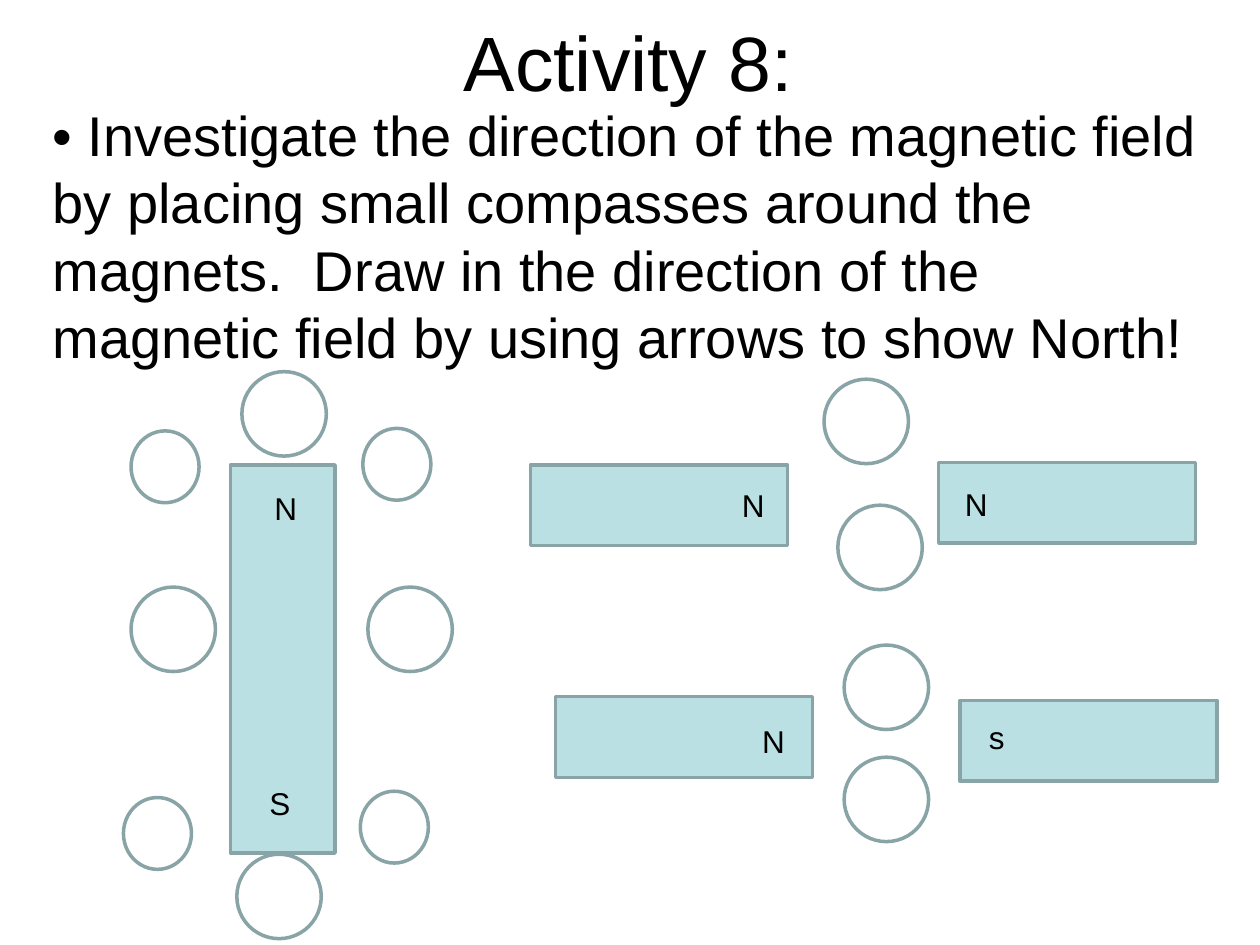
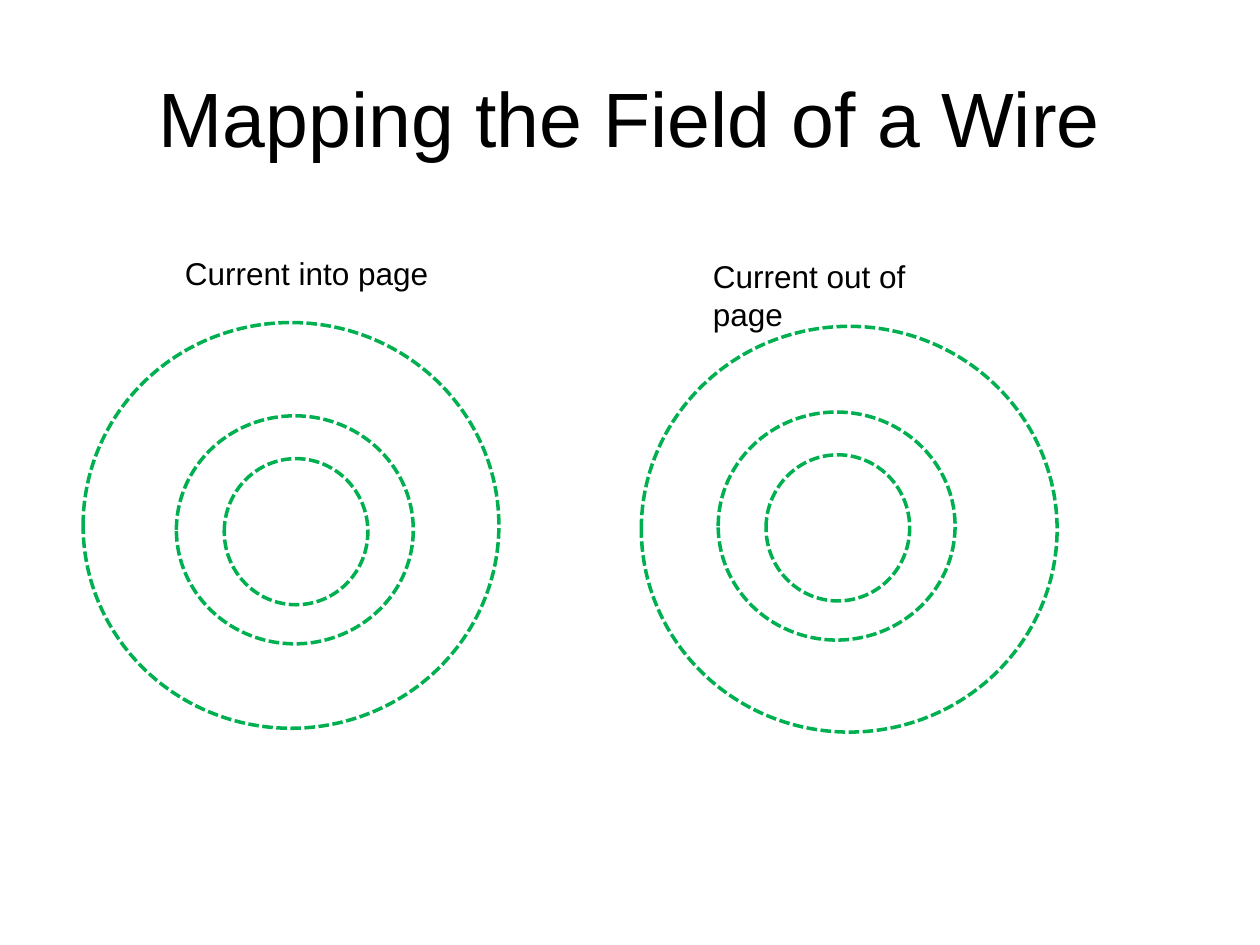
import pptx
import pptx.util
import pptx.dml.color
import pptx.enum.dml
import pptx.enum.shapes
import pptx.enum.text

Inches = pptx.util.Inches
Shapes = pptx.enum.shapes.MSO_SHAPE
Align = pptx.enum.text.PP_ALIGN
Anchor = pptx.enum.text.MSO_ANCHOR

COLORS = {"text": "000000", "magnet": "BBE0E3", "outline": "89A4A7", "field": "00B050"}
FONT = "Arial"
LARGE_COMPASS = (0.67, 0.67)
SMALL_COMPASS = (0.54, 0.57)
BAR = (2.04, 0.64)
LABEL_HEIGHT = 0.4


def color(name):
    return pptx.dml.color.RGBColor.from_string(COLORS[name])


def add_text(page, left, top, width, height, text, size=18,
             align=Align.LEFT, anchor=Anchor.TOP, wrap=True):
    box = page.shapes.add_textbox(Inches(left), Inches(top), Inches(width), Inches(height))
    frame = box.text_frame
    frame.word_wrap = wrap
    frame.vertical_anchor = anchor
    para = frame.paragraphs[0]
    para.text = text
    para.alignment = align
    para.font.name = FONT
    para.font.size = pptx.util.Pt(size)
    para.font.color.rgb = color("text")


def add_title(page, left, top, width, height, text):
    add_text(page, left, top, width, height, text, 44, Align.CENTER, Anchor.MIDDLE)


def add_outlined(page, kind, left, top, width, height, line="outline", fill=None):
    shape = page.shapes.add_shape(kind, Inches(left), Inches(top), Inches(width), Inches(height))
    shape.shadow.inherit = False
    if fill:
        shape.fill.solid()
        shape.fill.fore_color.rgb = color(fill)
    else:
        shape.fill.background()
    shape.line.color.rgb = color(line)
    shape.line.width = pptx.util.Pt(2)
    return shape


def add_magnet(page, left, top, width, height, poles):
    """Bar magnet; each pole is (letter, x, y) from the bar's corner."""
    add_outlined(page, Shapes.RECTANGLE, left, top, width, height, fill="magnet")
    for letter, x, y in poles:
        add_text(page, left + x, top + y, 2.17, LABEL_HEIGHT, letter)


def add_compasses(page, left, top, offsets, size=LARGE_COMPASS):
    for x, y in offsets:
        add_outlined(page, Shapes.OVAL, left + x, top + y, *size)


def add_single_magnet(page, left, top):
    add_magnet(page, left, top, 0.83, 3.08, [("N", 0.25, 0.14), ("S", 0.21, 2.48)])
    add_compasses(page, left, top, [(0.09, -0.74), (1.09, 0.97), (0.05, 3.09), (-0.79, 0.97)])
    add_compasses(page, left, top,
                  [(-0.79, -0.27), (1.05, -0.29), (-0.85, 2.64), (1.03, 2.59)], SMALL_COMPASS)


def add_magnet_pair(page, left, top, bars, compasses):
    """Two facing bars, each (x, y, pole), with compasses in the gap."""
    for x, y, pole in bars:
        add_magnet(page, left + x, top + y, *BAR, [pole])
    add_compasses(page, left, top, compasses)


def add_wire_field(page, left, top, caption, caption_box, middle):
    """Three field rings; caption_box is (x, y, width), middle the second ring's offset."""
    x, y, width = caption_box
    add_text(page, left + x, top + y, width, LABEL_HEIGHT, caption, wrap=False)
    middle_x, middle_y = middle
    rings = [(middle_x + 0.38, middle_y + 0.34, 1.14, 1.16),
             (middle_x, middle_y, 1.88, 1.81),
             (0, 0, 3.3, 3.22)]
    for x, y, width, height in rings:
        ring = add_outlined(page, Shapes.OVAL, left + x, top + y, width, height, line="field")
        ring.line.dash_style = pptx.enum.dml.MSO_LINE.SQUARE_DOT


def build_activity(page):
    add_title(page, 0.49, 0.04, 9, 0.88, "Activity 8:")
    add_text(page, 0.32, 0.75, 9.34, 2.33,
             "• Investigate the direction of the magnetic field by placing small compasses "
             "around the magnets.  Draw in the direction of the magnetic field by using "
             "arrows to show North!", 32)
    add_single_magnet(page, 1.83, 3.69)
    # Like poles, then unlike poles
    add_magnet_pair(page, 4.21, 3.67,
                    [(0, 0.02, ("N", 1.58, 0.12)), (3.24, 0, ("N", 0.11, 0.13))],
                    [(2.44, 0.34), (2.33, -0.66)])
    add_magnet_pair(page, 4.41, 5.53,
                    [(0, 0, ("N", 1.54, 0.15)), (3.21, 0.03, ("s", 0.13, 0.09))],
                    [(2.29, -0.41), (2.29, 0.48)])


def build_wire(page):
    add_title(page, 0.5, 0.3, 9, 1.25, "Mapping the Field of a Wire")
    add_wire_field(page, 0.66, 2.56, "Current into page", (0.71, -0.59, 2.13), (0.74, 0.74))
    add_wire_field(page, 5.09, 2.59, "Current out of page", (0.47, -0.6, 2.35), (0.61, 0.68))


def main():
    deck = pptx.Presentation()
    deck.slide_width = Inches(10)
    deck.slide_height = Inches(7.5)
    for build in (build_activity, build_wire):
        build(deck.slides.add_slide(deck.slide_layouts[6]))
    deck.save("out.pptx")


if __name__ == "__main__":
    main()
